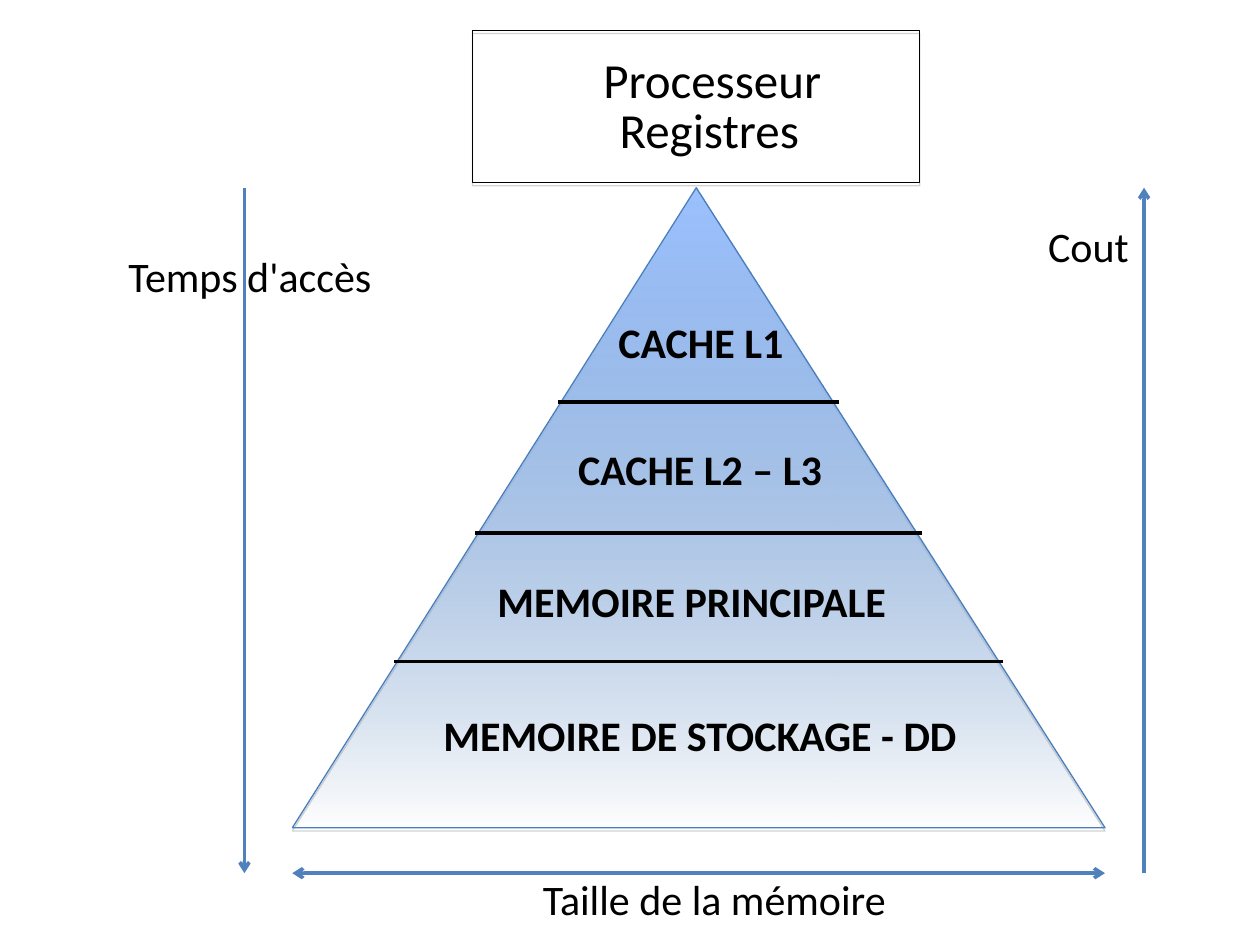
from pptx import Presentation
from pptx.dml.color import RGBColor as RGB
from pptx.enum.shapes import MSO_CONNECTOR as CONN, MSO_SHAPE as SHAPE
from pptx.enum.text import MSO_AUTO_SIZE as FIT
from pptx.oxml.ns import qn
from pptx.util import Inches, Pt
from lxml.etree import SubElement as Sub

THEME = {
    "font": "Calibri", "big": 28, "text": 24,
    "ink": "000000", "arrow": "4F81BD", "edge": "4A7EBB",
    "top": "9BC1FF", "base": "3F80CD", "shade": "808080",
    "thin": 0.75, "thick": 2,
}

# Content: text, left, top, width
CPU = [("Processeur", 4.69, 0.34, 1.93), ("Registres", 4.82, 0.74, 1.64)]
LEVELS = [
    ("CACHE L1", 4.81, 2.46, 1.51),
    ("CACHE L2 – L3", 4.49, 3.47, 2.14),
    ("MEMOIRE PRINCIPALE", 3.85, 4.52, 3.3),
    ("MEMOIRE DE STOCKAGE - DD", 3.42, 5.58, 4.29),
]
AXES = [
    ("Taille de la mémoire", 4.21, 6.88, 2.95),
    ("Cout", 8.22, 1.7, 0.84),
    ("Temps d'accès", 0.92, 1.94, 2.16),
]
# Level borders: left, right, height on the slide
CUTS = [(4.43, 6.66, 3.19), (3.77, 7.32, 4.23), (3.13, 7.96, 5.25)]
# Pyramid frame, and the foot shared by the arrows
LEFT, TOP, WIDTH, HIGH = 2.32, 1.49, 6.45, 5.08
FOOT = 6.93
# Arrows: start, end, ends that carry a head
ARROWS = [
    ((LEFT, FOOT), (LEFT + WIDTH, FOOT), ("headEnd", "tailEnd")),
    ((9.08, FOOT), (9.08, TOP), ("tailEnd",)),
    ((1.94, FOOT), (1.94, TOP), ("headEnd",)),
]


def color(name):
    return RGB.from_string(THEME[name])


def add_label(slide, item, size="text", bold=False):
    text, left, top, width = item
    high = 0.57 if size == "big" else 0.5
    box = slide.shapes.add_textbox(*map(Inches, (left, top, width, high)))
    frame = box.text_frame
    frame.word_wrap = False
    frame.auto_size = FIT.SHAPE_TO_FIT_TEXT
    frame.text = text
    font = frame.paragraphs[0].font
    font.name, font.size, font.bold = THEME["font"], Pt(THEME[size]), bold
    font.color.rgb = color("ink")


def add_line(slide, start, end, tint, heads=()):
    line = slide.shapes.add_connector(
        CONN.STRAIGHT, *map(Inches, (*start, *end)))
    line.line.color.rgb = color(tint)
    line.line.width = Pt(THEME["thick"])
    edge = line.line._get_or_add_ln()
    for head in heads:
        Sub(edge, qn("a:" + head), type="arrow")
    Sub(line._element.spPr, qn("a:effectLst"))


def add_block(slide, kind, frame, edge):
    block = slide.shapes.add_shape(kind, *map(Inches, frame))
    block.line.color.rgb = color(edge)
    block.line.width = Pt(THEME["thin"])
    block.fill.background()
    # Soft shadow just below the shape
    block.shadow.inherit = False
    effects = block._element.spPr.find(qn("a:effectLst"))
    shade = Sub(effects, qn("a:outerShdw"), dist=str(Pt(1.8)),
                dir="5400000", rotWithShape="0")
    tint = Sub(shade, qn("a:srgbClr"), val=THEME["shade"])
    Sub(tint, qn("a:alpha"), val="35000")
    return block


def main():
    prs = Presentation()
    prs.slide_width, prs.slide_height = Inches(10), Inches(7.5)
    slide = prs.slides.add_slide(prs.slide_layouts[6])

    # Processor box
    add_block(slide, SHAPE.RECTANGLE, (3.75, 0.24, 3.55, 1.21), "ink")
    for item in CPU:
        add_label(slide, item, "big")

    # Pyramid, fading out towards its base
    cone = add_block(slide, SHAPE.ISOSCELES_TRIANGLE,
                     (LEFT, TOP, WIDTH, HIGH), "edge")
    cone.adjustments[0] = 0.497
    cone.fill.gradient()
    cone.fill.gradient_angle = 270
    for stop, tint, place in zip(cone.fill.gradient_stops,
                                 ("top", "base"), (0, 1)):
        stop.color.rgb = color(tint)
        stop.position = place
    last = cone._element.spPr.findall(".//" + qn("a:gs"))[-1]
    Sub(last[0], qn("a:alpha"), val="0")

    # Levels and their borders
    for left, right, y in CUTS:
        add_line(slide, (left, y), (right, y), "ink")
    for item in LEVELS:
        add_label(slide, item, bold=True)

    # Arrows and their labels
    for start, end, heads in ARROWS:
        add_line(slide, start, end, "arrow", heads)
    for item in AXES:
        add_label(slide, item)

    prs.save("out.pptx")


if __name__ == "__main__":
    main()
